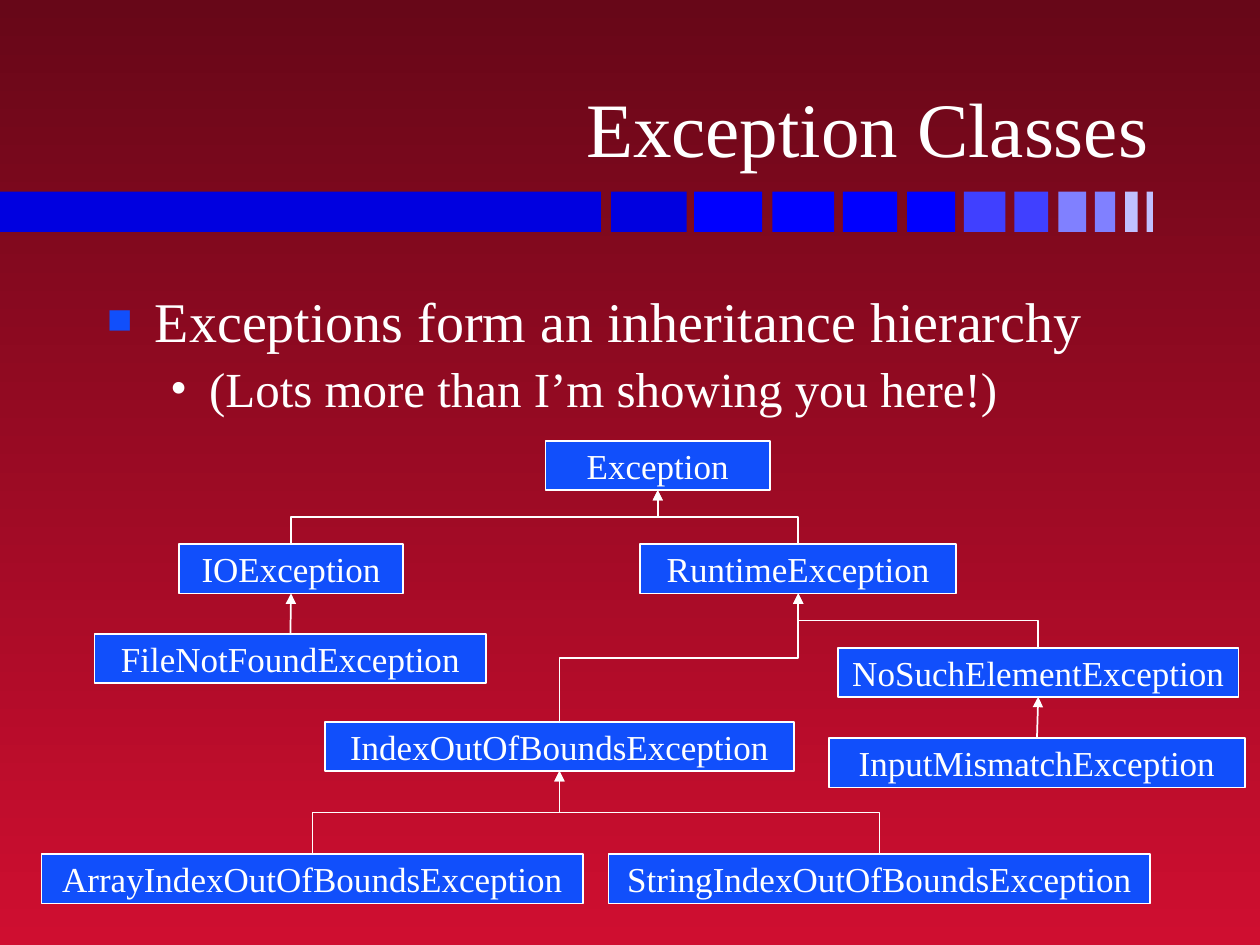
from lxml.etree import SubElement as Sub
from pptx import Presentation
from pptx.dml.color import RGBColor
from pptx.enum.shapes import MSO_CONNECTOR as Link, MSO_SHAPE as Shape
from pptx.enum.text import MSO_ANCHOR as Anchor, MSO_AUTO_SIZE as Fit, PP_ALIGN as Align
from pptx.oxml.ns import qn
from pptx.util import Inches, Pt

WHITE = RGBColor(0xFF, 0xFF, 0xFF)
BLUE = RGBColor(0x11, 0x4F, 0xFB)
DARK = RGBColor(0x67, 0x07, 0x18)
RED = RGBColor(0xCF, 0x0E, 0x30)
NAVY = RGBColor(0x00, 0x00, 0xE0)
PURE = RGBColor(0x00, 0x00, 0xFF)
MID = RGBColor(0x40, 0x40, 0xFF)
LIGHT = RGBColor(0x80, 0x80, 0xFF)
PALE = RGBColor(0xC0, 0xC0, 0xFF)

# left, width, colour
BARS = [
    (0, 4.77, NAVY), (4.85, 0.6, NAVY),
    (5.51, 0.54, PURE), (6.13, 0.49, PURE), (6.69, 0.43, PURE), (7.2, 0.38, PURE),
    (7.65, 0.33, MID), (8.05, 0.27, MID),
    (8.4, 0.22, LIGHT), (8.69, 0.16, LIGHT),
    (8.93, 0.1, PALE), (9.1, 0.05, PALE),
]

# name, parent, left, top, width
TREE = [
    ("Exception", None, 4.33, 3.5, 1.78),
    ("IOException", "Exception", 1.42, 4.32, 1.78),
    ("RuntimeException", "Exception", 5.08, 4.32, 2.51),
    ("NoSuchElementException", "RuntimeException", 6.65, 5.14, 3.18),
    ("InputMismatchException", "NoSuchElementException", 6.58, 5.86, 3.3),
    ("FileNotFoundException", "IOException", 0.75, 5.03, 3.11),
    ("IndexOutOfBoundsException", "RuntimeException", 2.58, 5.73, 3.72),
    ("ArrayIndexOutOfBoundsException", "IndexOutOfBoundsException", 0.33, 6.78, 4.3),
    ("StringIndexOutOfBoundsException", "IndexOutOfBoundsException", 4.83, 6.78, 4.3),
]

# text, level, size, space before, left margin, hang, bullet, colour, bullet percent
ITEMS = [
    ("Exceptions form an inheritance hierarchy", 0, 32, 0, 0.38, 0.38, "■", BLUE, 75),
    ("(Lots more than I’m showing you here!)", 1, 28, 3, 0.81, 0.31, "•", WHITE, 100),
]


class Deck:
    """Holds the text style and the slide being drawn."""

    def __init__(self, slide, face="Times New Roman"):
        self.slide = slide
        self.face = face

    def ground(self, top, base):
        fill = self.slide.background.fill
        fill.gradient()
        fill.gradient_angle = 270
        for stop, tint, spot in zip(fill.gradient_stops, (top, base), (0, 1)):
            stop.color.rgb = tint
            stop.position = spot

    def style(self, para, size, align=Align.LEFT):
        para.alignment = align
        for run in para.runs:
            font = run.font
            font.name, font.size, font.color.rgb = self.face, Pt(size), WHITE

    def rect(self, left, top, width, height, tint):
        shape = self.slide.shapes.add_shape(
            Shape.RECTANGLE, Inches(left), Inches(top), Inches(width), Inches(height))
        shape.shadow.inherit = False
        shape.fill.solid()
        shape.fill.fore_color.rgb = tint
        shape.line.fill.background()
        return shape

    def box(self, text, left, top, width):
        shape = self.rect(left, top, width, 0.39, BLUE)
        shape.line.color.rgb = WHITE
        shape.line.width = Pt(1)
        frame = shape.text_frame
        frame.text = text
        frame.word_wrap = False
        frame.vertical_anchor = Anchor.MIDDLE
        frame.margin_top = frame.margin_bottom = 0
        self.style(frame.paragraphs[0], 20, Align.CENTER)
        return shape

    def arrow(self, child, parent):
        """Lead from the top of child up to the foot of parent."""
        x1, y1 = child.left + child.width // 2, child.top
        x2, y2 = parent.left + parent.width // 2, parent.top + parent.height
        bent = abs(x2 - x1) > Inches(0.03)
        kind = Link.ELBOW if bent else Link.STRAIGHT
        line = self.slide.shapes.add_connector(kind, x1, y1, x2, y2)
        line.begin_connect(child, 0)
        line.end_connect(parent, 2)
        props = line._element.spPr
        if bent:
            # An elbow that leaves upward is a turned sideways one
            wide, high = y1 - y2, abs(x2 - x1)
            line.left, line.top = (x1 + x2 - wide) // 2, (y1 + y2 - high) // 2
            line.width, line.height = wide, high
            right = x2 > x1
            frame = props.find(qn("a:xfrm"))
            frame.set("rot", str((90 if right else 270) * 60000))
            frame.set("flipH", "1" if right else "0")
            frame.set("flipV", "1")
        line.line.color.rgb = WHITE
        line.line.width = Pt(1)
        Sub(props.find(qn("a:ln")), qn("a:tailEnd"), type="triangle", w="med", len="med")
        Sub(props, qn("a:effectLst"))

    def place(self, holder, left, top, width, height):
        holder.left, holder.top = Inches(left), Inches(top)
        holder.width, holder.height = Inches(width), Inches(height)
        frame = holder.text_frame
        frame.auto_size = Fit.NONE
        frame.word_wrap = True
        return frame

    def title(self, text):
        frame = self.place(self.slide.shapes.title, 0.74, 0.19, 8.48, 1.23)
        frame.text = text
        frame.vertical_anchor = Anchor.BOTTOM
        self.style(frame.paragraphs[0], 44, Align.RIGHT)

    def bullet(self, para, left, hang, mark, tint, scale):
        props = para._p.get_or_add_pPr()
        props.set("marL", str(Inches(left)))
        props.set("indent", str(-Inches(hang)))
        Sub(Sub(props, qn("a:buClr")), qn("a:srgbClr"), val=str(tint))
        Sub(props, qn("a:buSzPct"), val=str(scale * 1000))
        Sub(props, qn("a:buFont"), typeface=self.face)
        Sub(props, qn("a:buChar"), char=mark)

    def body(self, items):
        frame = self.place(self.slide.placeholders[1], 0.75, 2.17, 8.5, 4.5)
        frame.margin_top = Inches(0.1)
        frame.text = "\n".join(item[0] for item in items)
        for para, item in zip(frame.paragraphs, items):
            _, level, size, gap, *mark = item
            para.level = level
            self.bullet(para, *mark)
            para.space_before = Pt(gap)
            self.style(para, size)


def main():
    show = Presentation()
    show.slide_width, show.slide_height = Inches(10), Inches(7.5)
    deck = Deck(show.slides.add_slide(show.slide_layouts[1]))
    deck.ground(DARK, RED)
    for left, width, tint in BARS:
        deck.rect(left, 1.52, width, 0.32, tint)
    deck.title("Exception Classes")
    deck.body(ITEMS)
    boxes = {name: deck.box(name, *spot) for name, _, *spot in TREE}
    for name, parent, *_ in TREE:
        if parent:
            deck.arrow(boxes[name], boxes[parent])
    show.save("out.pptx")


if __name__ == "__main__":
    main()
